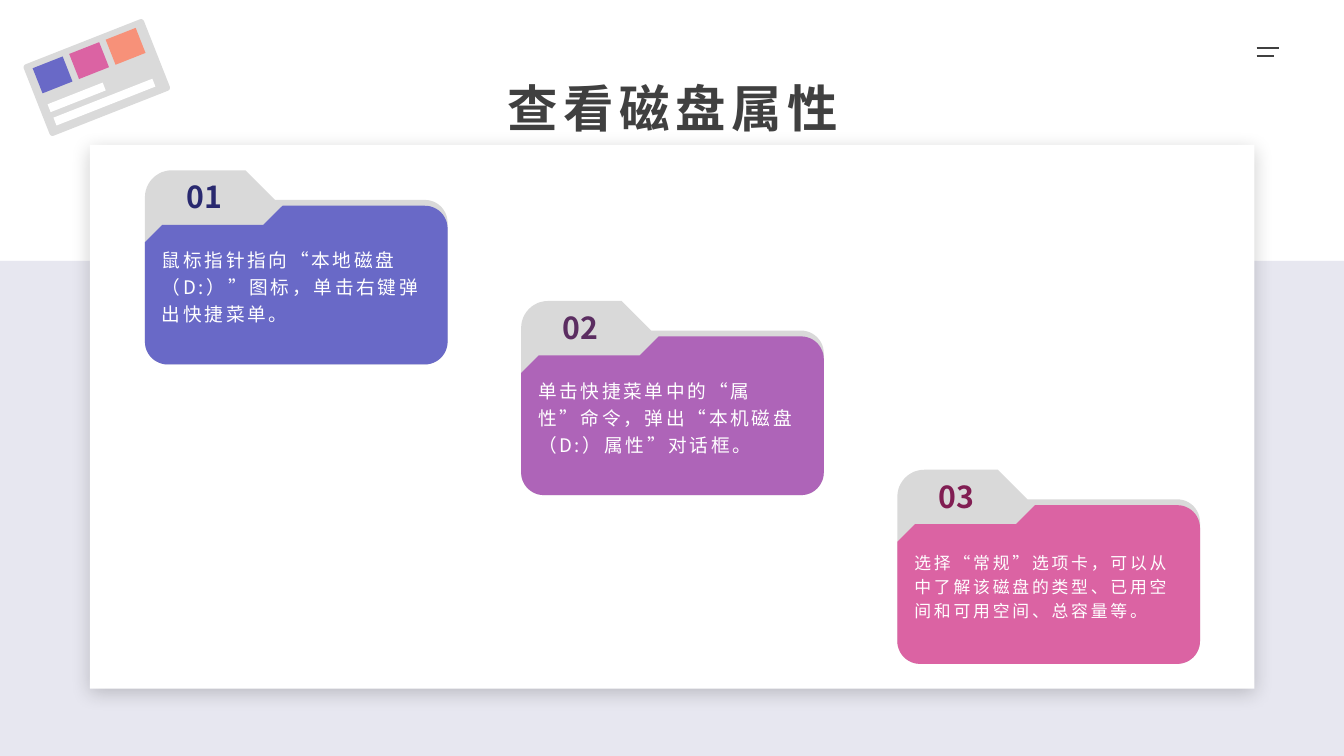
import dataclasses
import math

import lxml.etree
import pptx
import pptx.dml.color
import pptx.enum.shapes
import pptx.enum.text
import pptx.oxml.ns
import pptx.util

Cm = pptx.util.Cm
Pt = pptx.util.Pt
Anchor = pptx.enum.text.MSO_ANCHOR
Align = pptx.enum.text.PP_ALIGN
Shape = pptx.enum.shapes.MSO_SHAPE
qualified = pptx.oxml.ns.qn


@dataclasses.dataclass(frozen=True)
class Theme:
    """Colours, font and type sizes of the slide."""

    font: str = "Noto Sans CJK SC"
    ink: str = "404040"
    white: str = "FFFFFF"
    band: str = "E7E7F0"
    shadow: str = "0D0D0D"
    tab: str = "D9D9D9"
    icon: str = "DADADA"
    blue: str = "6969C7"
    purple: str = "AE64B8"
    pink: str = "DB63A3"
    orange: str = "F79179"
    dark_blue: str = "29296F"
    dark_purple: str = "5B2D61"
    dark_pink: str = "811E53"
    title_size: float = 27
    number_size: float = 16.2
    body_size: float = 10
    small_body_size: float = 9


def rgb(value):
    """Turn a hex string into a colour."""
    return pptx.dml.color.RGBColor.from_string(value)


def arc(x, y, radius, start):
    """Return points of a clockwise quarter circle from a start angle."""
    angles = [math.radians(start + step * 7.5) for step in range(13)]
    return [(x + radius * math.cos(a), y + radius * math.sin(a)) for a in angles]


def write_text(frame, text, *, font, size, color, bold=False, spacing=0,
               line_spacing=1.0, align=Align.LEFT, anchor=Anchor.MIDDLE,
               margins=(0.25, 0.13)):
    """Write one formatted paragraph into a text frame."""
    frame.word_wrap = True
    frame.auto_size = pptx.enum.text.MSO_AUTO_SIZE.NONE
    frame.vertical_anchor = anchor
    frame.margin_left = frame.margin_right = Cm(margins[0])
    frame.margin_top = frame.margin_bottom = Cm(margins[1])
    paragraph = frame.paragraphs[0]
    paragraph.alignment = align
    paragraph.line_spacing = line_spacing
    run = paragraph.add_run()
    run.text = text
    run.font.name = font
    run.font.size = Pt(size)
    run.font.bold = bold
    run.font.color.rgb = rgb(color)
    properties = run.font._element
    properties.set("lang", "zh-CN")
    properties.set("spc", str(int(spacing * 100)))
    lxml.etree.SubElement(properties, qualified("a:ea"), typeface=font)


class SlideBuilder:
    """Draws styled elements on the current slide."""

    def __init__(self, theme, slide):
        """Keep the theme and the slide."""
        self.theme = theme
        self.slide = slide

    def paint(self, shape, color):
        """Give a shape a plain fill without line or shadow."""
        shape.shadow.inherit = False
        shape.fill.solid()
        shape.fill.fore_color.rgb = rgb(color)
        shape.line.fill.background()
        return shape

    def box(self, left, top, width, height, color, kind=Shape.RECTANGLE, rotation=0):
        """Add a preset shape."""
        shape = self.slide.shapes.add_shape(kind, Cm(left), Cm(top), Cm(width), Cm(height))
        shape.rotation = rotation
        return self.paint(shape, color)

    def outline(self, left, top, points, color):
        """Add a closed outline from points relative to a corner."""
        places = [(Cm(left + x), Cm(top + y)) for x, y in points]
        builder = self.slide.shapes.build_freeform(*places[0])
        builder.add_line_segments(places[1:], close=True)
        return self.paint(builder.convert_to_shape(), color)

    def soft_shadow(self, shape):
        """Add a soft shadow below a shape."""
        effects = shape._element.spPr.find(qualified("a:effectLst"))
        outer = lxml.etree.SubElement(
            effects, qualified("a:outerShdw"), blurRad=str(Pt(10)), dist=str(Pt(3)),
            dir="5400000", algn="t", rotWithShape="0")
        color = lxml.etree.SubElement(outer, qualified("a:srgbClr"), val=self.theme.shadow)
        lxml.etree.SubElement(color, qualified("a:alpha"), val="20000")

    def text(self, left, top, width, height, text, **style):
        """Add a text box."""
        shape = self.slide.shapes.add_textbox(Cm(left), Cm(top), Cm(width), Cm(height))
        write_text(shape.text_frame, text, font=self.theme.font, **style)

    def title(self, left, top, width, height, text):
        """Place and fill the title placeholder."""
        shape = self.slide.shapes.title
        shape.left, shape.top = Cm(left), Cm(top)
        shape.width, shape.height = Cm(width), Cm(height)
        write_text(shape.text_frame, text, font=self.theme.font, size=self.theme.title_size,
                   color=self.theme.ink, bold=True, spacing=3, line_spacing=1.1,
                   align=Align.CENTER, anchor=Anchor.TOP, margins=(0.15, 0.08))

    def line(self, left, top, length):
        """Add a thin horizontal line."""
        connector = self.slide.shapes.add_connector(
            pptx.enum.shapes.MSO_CONNECTOR.STRAIGHT,
            Cm(left), Cm(top), Cm(left + length), Cm(top))
        connector.line.color.rgb = rgb(self.theme.ink)
        connector.line.width = Pt(1)
        lxml.etree.SubElement(connector._element.spPr, qualified("a:effectLst"))

    def icon(self):
        """Draw the tilted page with three tiles and two bars."""
        theme, tilt = self.theme, 338.5
        page = self.box(0.61, 0.74, 2.44, 1.45, theme.icon, Shape.ROUNDED_RECTANGLE, tilt)
        page.adjustments[0] = 0.04
        for left, top, width in ((0.97, 1.85, 2.01), (0.89, 1.76, 1.12)):
            self.box(left, top, width, 0.16, theme.white, rotation=tilt)
        for index, color in enumerate((theme.blue, theme.pink, theme.orange)):
            self.box(0.69 + index * 0.69, 1.16 - index * 0.27, 0.61, 0.51, color,
                     rotation=tilt)

    def card(self, left, top, number, text, color, number_color, size):
        """Draw a folder card with its number and text."""
        width, height, radius = 5.72, 3.67, 0.43
        right, bottom = width - radius, height - radius
        base = arc(right, bottom, radius, 0) + arc(radius, bottom, radius, 90)
        back = (arc(0.51, 0.51, 0.51, 180) + [(1.9, 0), (2.46, 0.56)]
                + arc(right, 0.56 + radius, radius, 270) + base)
        front = ([(2.6, 0.67)] + arc(right, 0.67 + radius, radius, 270) + base
                 + [(0, 1.36), (0.33, 1.03), (2.24, 1.03)])
        self.outline(left, top, back, self.theme.tab)
        self.outline(left, top, front, color)
        self.text(left + 0.14, top + 1.22, 5.44, 1.9, text, size=size,
                  color=self.theme.white, spacing=1.5, line_spacing=1.2,
                  margins=(0.18, 0.1))
        self.text(left, top, 2.24, 1, number, size=self.theme.number_size,
                  color=number_color, bold=True, align=Align.CENTER)


def main():
    """Build and save the slide."""
    theme = Theme()
    presentation = pptx.Presentation()
    presentation.slide_width, presentation.slide_height = Cm(25.4), Cm(14.29)
    slide = presentation.slides.add_slide(presentation.slide_layouts[5])
    builder = SlideBuilder(theme, slide)
    builder.title(1.93, 1.27, 21.56, 1.32, "查看磁盘属性")
    builder.icon()
    builder.box(0, 4.93, 25.4, 9.36, theme.band)
    builder.soft_shadow(builder.box(1.7, 2.74, 22.01, 10.28, theme.white))
    cards = (
        (3.22, "鼠标指针指向“本地磁盘（D:）”图标，单击右键弹出快捷菜单。",
         theme.blue, theme.dark_blue, theme.body_size),
        (5.69, "单击快捷菜单中的“属性”命令，弹出“本机磁盘（D:）属性”对话框。",
         theme.purple, theme.dark_purple, theme.body_size),
        (8.88, "选择“常规”选项卡，可以从中了解该磁盘的类型、已用空间和可用空间、总容量等。",
         theme.pink, theme.dark_pink, theme.small_body_size),
    )
    for index, (top, text, color, number_color, size) in enumerate(cards):
        builder.card(2.74 + index * 7.11, top, f"{index + 1:02d}", text,
                     color, number_color, size)
    for top, length in ((0.91, 0.42), (1.06, 0.32)):
        builder.line(23.75, top, length)
    presentation.save("out.pptx")


if __name__ == "__main__":
    main()
